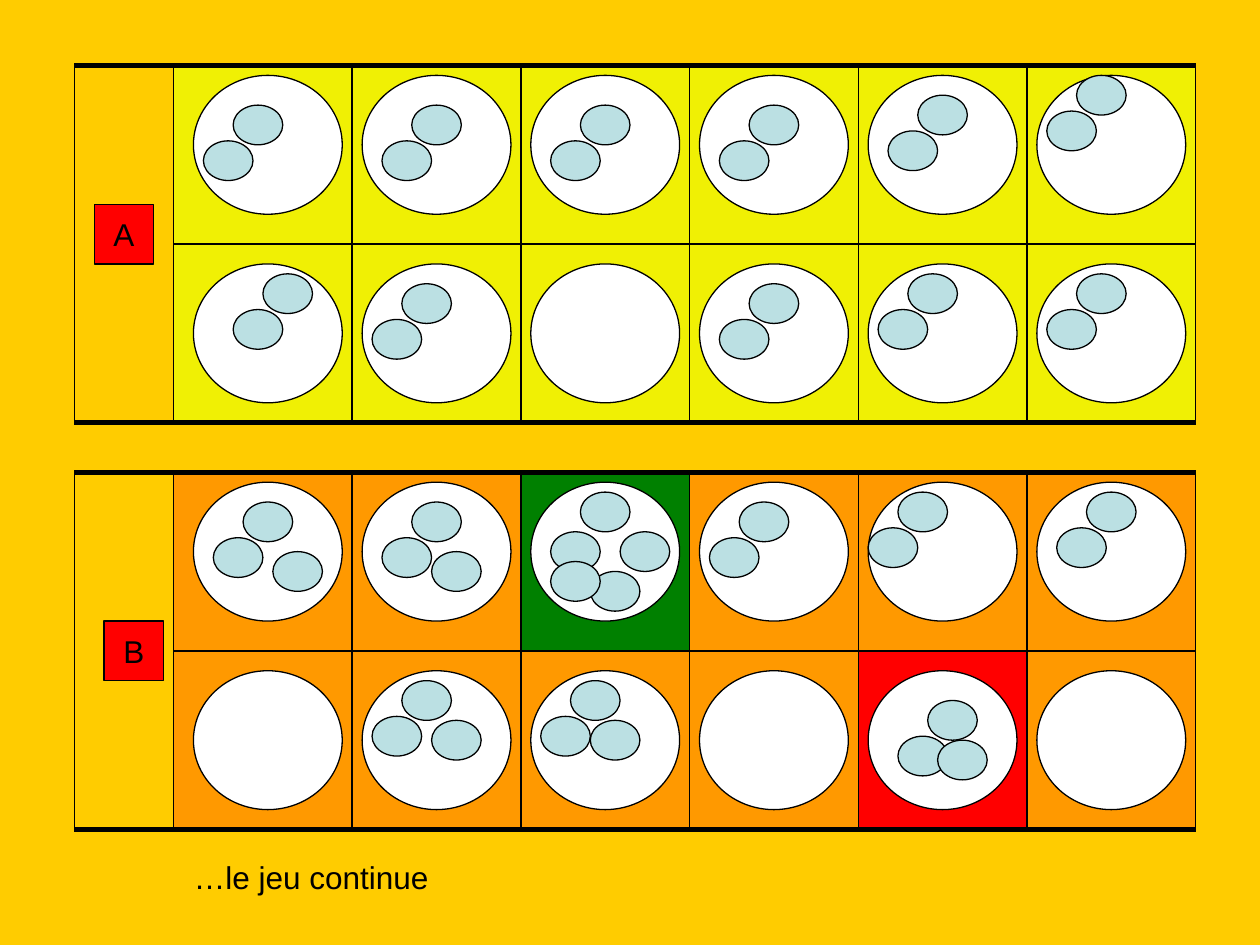
from dataclasses import dataclass, field

from lxml import etree
from pptx import Presentation
from pptx.dml.color import RGBColor
from pptx.enum import shapes, text
from pptx.oxml import ns
from pptx.util import Pt

STEP = 5.67  # drawing grid, in points
COLUMNS, ROWS = 6, 2
HEADER_WIDTH, FIRST_WIDTH, CELL_WIDTH, CELL_HEIGHT = 10, 18, 17, 18
BOARD_WIDTH = HEADER_WIDTH + FIRST_WIDTH + (COLUMNS - 1) * CELL_WIDTH
BOARD_HEIGHT = ROWS * CELL_HEIGHT
PIT_LEFT, PIT_TOP, PIT_ROW_PITCH = 12, 1, 19
PIT_SIZE, SEED_SIZE, LABEL_SIZE = (15, 14), (5, 4), (6, 6)
PAIR_OFFSET = (-3, 3.6)

Point = tuple[float, float]
Cell = tuple[int, int]  # row, column


@dataclass(frozen=True)
class Theme:
    background: str = "FFCC00"
    ink: str = "000000"
    pit: str = "FFFFFF"
    seed: str = "BBE0E3"
    label: str = "FF0000"
    yellow: str = "F0F004"
    orange: str = "FF9900"
    green: str = "008000"
    red: str = "FF0000"
    font: str = "Arial"
    text_size: float = 18
    outline: float = 0.75
    divider: float = 1
    border: float = 3


@dataclass(frozen=True)
class Board:
    """Places are in grid steps: labels from the board, seeds from their pit."""
    name: str
    left: float
    top: float
    label: Point
    fill: str
    seeds: dict[Cell, list[Point]]
    highlights: dict[Cell, str] = field(default_factory=dict)


THEME = Theme()


def pair(x: float, y: float) -> list[Point]:
    """Two touching seeds, the second below and to the left of the first."""
    return [(x, y), (x + PAIR_OFFSET[0], y + PAIR_OFFSET[1])]


BOARDS = [
    Board("A", 7.5, 6.6, (2, 14), THEME.yellow, {
        (0, 0): pair(4, 3), (0, 1): pair(5, 3), (0, 2): pair(5, 3),
        (0, 3): pair(5, 3), (0, 4): pair(5, 2), (0, 5): pair(4, 0),
        (1, 0): pair(7, 1), (1, 1): pair(4, 2), (1, 3): pair(5, 2),
        (1, 4): pair(4, 1), (1, 5): pair(4, 1),
    }),
    Board("B", 7.5, 47.6, (3, 15), THEME.orange, {
        (0, 0): pair(5, 2) + [(8, 7)],
        (0, 1): pair(5, 2) + [(7, 7)],
        (0, 2): [(5, 1), (2, 5), (9, 5), (6, 9), (2, 8)],
        (0, 3): pair(4, 2), (0, 4): pair(3, 1), (0, 5): pair(5, 1),
        (1, 1): pair(4, 1) + [(7, 5)],
        (1, 2): pair(4, 1) + [(6, 5)],
        (1, 4): pair(6, 3) + [(7, 7)],
    }, {(0, 2): THEME.green, (1, 4): THEME.red}),
]


def grid(steps: float) -> Pt:
    return Pt(steps * STEP)


def color(value: str) -> RGBColor:
    return RGBColor.from_string(value)


def add_outlined(slide, kind, left: float, top: float, size: Point,
                 fill: str | None = None):
    shape = slide.shapes.add_shape(kind, grid(left), grid(top),
                                   grid(size[0]), grid(size[1]))
    shape.shadow.inherit = False
    if fill:
        shape.fill.solid()
        shape.fill.fore_color.rgb = color(fill)
    else:
        shape.fill.background()
    shape.line.color.rgb = color(THEME.ink)
    shape.line.width = Pt(THEME.outline)
    return shape


def add_rule(slide, left: float, right: float, top: float, width: float):
    """Horizontal line across a board."""
    rule = slide.shapes.add_connector(
        shapes.MSO_CONNECTOR.STRAIGHT,
        grid(left), grid(top), grid(right), grid(top))
    rule.line.color.rgb = color(THEME.ink)
    rule.line.width = Pt(width)
    etree.SubElement(rule._element.spPr, ns.qn("a:effectLst"))
    return rule


def write(shape, words: str, alignment) -> None:
    frame = shape.text_frame
    frame.text = words
    frame.word_wrap = False
    paragraph = frame.paragraphs[0]
    paragraph.alignment = alignment
    font = paragraph.runs[0].font
    font.name, font.size = THEME.font, Pt(THEME.text_size)
    font.color.rgb = color(THEME.ink)


def draw_cells(slide, board: Board) -> None:
    rectangle = shapes.MSO_SHAPE.RECTANGLE
    for row in range(ROWS):
        left = board.left + HEADER_WIDTH
        for column in range(COLUMNS):
            width = CELL_WIDTH if column else FIRST_WIDTH
            add_outlined(slide, rectangle, left, board.top + row * CELL_HEIGHT,
                         (width, CELL_HEIGHT),
                         board.highlights.get((row, column), board.fill))
            left += width
    header = add_outlined(slide, rectangle, board.left, board.top,
                          (HEADER_WIDTH, BOARD_HEIGHT))
    right = board.left + BOARD_WIDTH
    for top in (board.top, board.top + BOARD_HEIGHT):
        add_rule(slide, board.left, right, top, THEME.border)
    divider = add_rule(slide, board.left + HEADER_WIDTH, right,
                       board.top + CELL_HEIGHT, THEME.divider)
    divider.begin_connect(header, 3)


def draw_pits(slide, board: Board) -> None:
    oval = shapes.MSO_SHAPE.OVAL
    for row in range(ROWS):
        for column in range(COLUMNS):
            left = board.left + PIT_LEFT + column * CELL_WIDTH
            top = board.top + PIT_TOP + row * PIT_ROW_PITCH
            add_outlined(slide, oval, left, top, PIT_SIZE, THEME.pit)
            for x, y in board.seeds.get((row, column), []):
                add_outlined(slide, oval, left + x, top + y, SEED_SIZE, THEME.seed)


def draw_label(slide, board: Board) -> None:
    label = add_outlined(slide, shapes.MSO_SHAPE.RECTANGLE,
                         board.left + board.label[0], board.top + board.label[1],
                         LABEL_SIZE, THEME.label)
    label.text_frame.vertical_anchor = text.MSO_ANCHOR.MIDDLE
    write(label, board.name, text.PP_ALIGN.CENTER)


def main() -> None:
    presentation = Presentation()
    presentation.slide_width, presentation.slide_height = Pt(720), Pt(540)
    slide = presentation.slides.add_slide(presentation.slide_layouts[6])
    slide.background.fill.solid()
    slide.background.fill.fore_color.rgb = color(THEME.background)
    for board in BOARDS:
        draw_cells(slide, board)
        draw_pits(slide, board)
        draw_label(slide, board)
    caption = slide.shapes.add_textbox(Pt(103.7), Pt(486.7), Pt(148.3), Pt(28.8))
    write(caption, "…le jeu continue", text.PP_ALIGN.LEFT)
    caption.text_frame.auto_size = text.MSO_AUTO_SIZE.SHAPE_TO_FIT_TEXT
    presentation.save("out.pptx")


if __name__ == "__main__":
    main()
